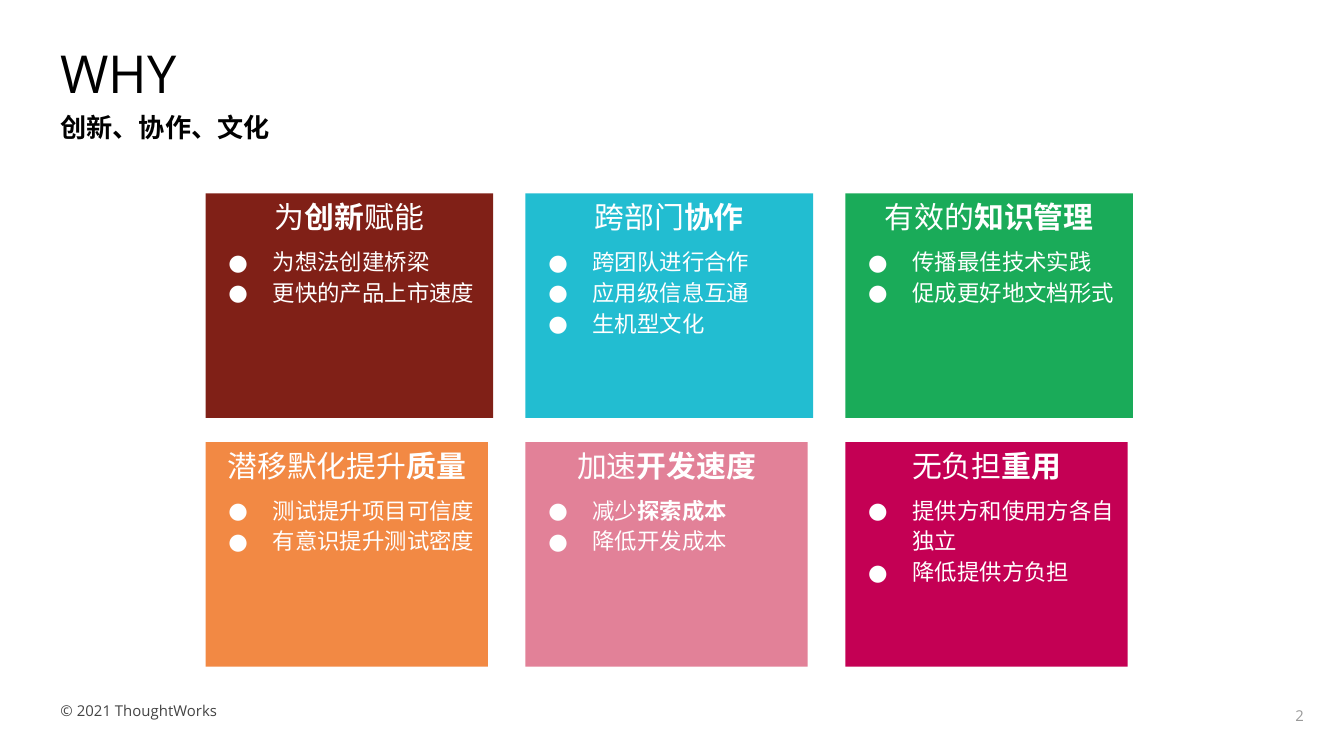
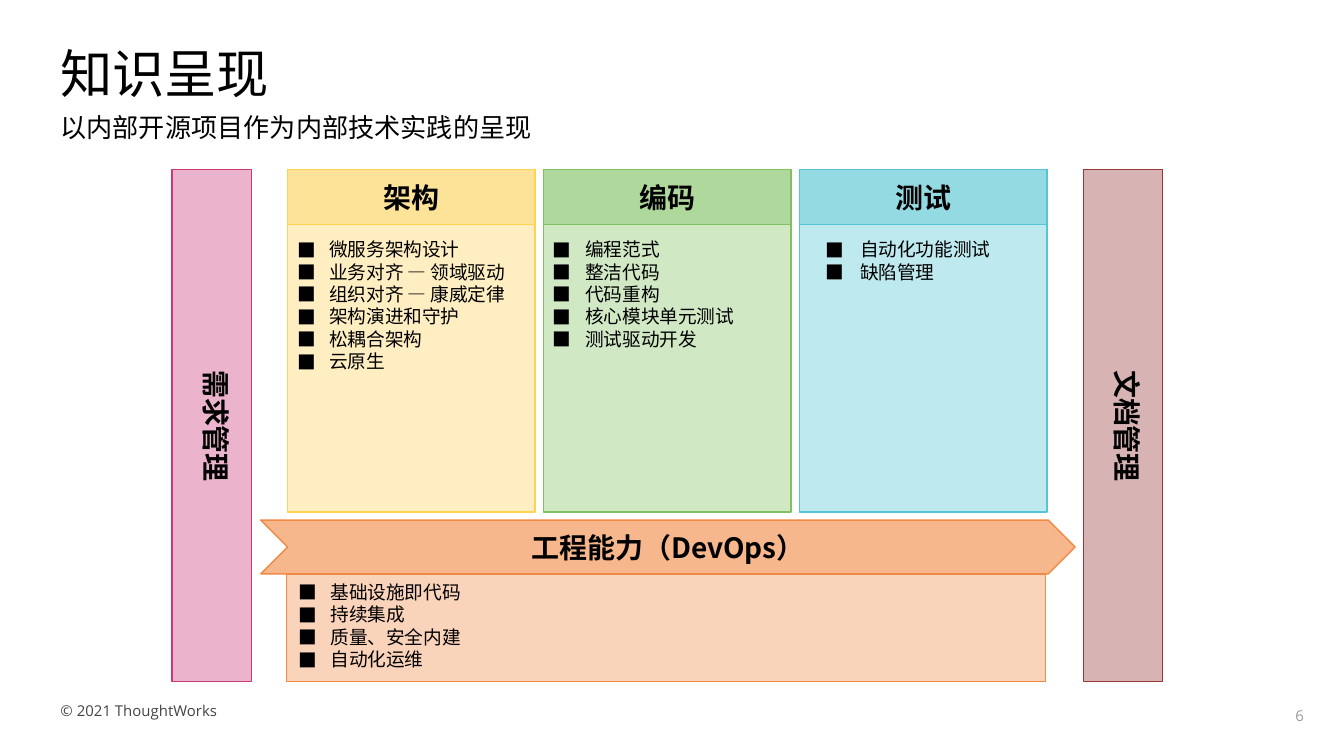
import dataclasses

import pptx
import pptx.dml.color
import pptx.enum.shapes
import pptx.enum.text
import pptx.oxml.ns
import pptx.util
from lxml import etree

Inches = pptx.util.Inches
Pt = pptx.util.Pt
RGB = pptx.dml.color.RGBColor.from_string
Shape = pptx.enum.shapes.MSO_SHAPE
Align = pptx.enum.text.PP_ALIGN
Anchor = pptx.enum.text.MSO_ANCHOR
qn = pptx.oxml.ns.qn


@dataclasses.dataclass(frozen=True)
class Theme:
    main_font: str = "Open Sans"
    diagram_font: str = "Noto Sans CJK SC"
    black: str = "000000"
    white: str = "FFFFFF"
    footer: str = "434343"
    number: str = "999999"
    devops: str = "F28944"
    title_size: int = 28
    subtitle_size: int = 14
    card_title_size: int = 16
    card_size: int = 12
    label_size: int = 15
    list_size: int = 10
    footer_size: int = 8
    line_width: float = 0.75
    diagram_inset: tuple = (0.07, 0.04)


theme = Theme()


def add_box(page, at, fill=None, line=None, kind=Shape.RECTANGLE, inset=(0, 0), anchor=Anchor.TOP):
    place = [Inches(length) for length in at]
    if fill:
        box = page.shapes.add_shape(kind, *place)
        box.shadow.inherit = False
        box.fill.solid()
        box.fill.fore_color.rgb = RGB(fill)
        if line:
            box.line.color.rgb = RGB(line)
            box.line.width = Pt(theme.line_width)
        else:
            box.line.fill.background()
    else:
        box = page.shapes.add_textbox(*place)
    frame = box.text_frame
    frame.word_wrap = True
    frame.vertical_anchor = anchor
    frame.margin_left = frame.margin_right = Inches(inset[0])
    frame.margin_top = frame.margin_bottom = Inches(inset[1])
    return box


def add_line(box, text, size, color=theme.black, font=theme.main_font, bold=False,
             align=Align.LEFT, spacing=None, before=None, bullet=None, indent=(0, 0)):
    frame = box.text_frame
    para = frame.add_paragraph() if frame.text else frame.paragraphs[0]
    para.alignment = align
    if spacing:
        para.line_spacing = spacing
    if before:
        para.space_before = Pt(before)
    if bullet:
        properties = para._p.get_or_add_pPr()
        properties.set("marL", str(Inches(indent[0])))
        properties.set("indent", str(Inches(indent[1])))
        bullet_color = etree.SubElement(properties, qn("a:buClr"))
        etree.SubElement(bullet_color, qn("a:srgbClr"), val=color)
        etree.SubElement(properties, qn("a:buFont"), typeface=font)
        etree.SubElement(properties, qn("a:buChar"), char=bullet)
    para.font.name = font
    para.font.size = Pt(size)
    para.font.color.rgb = RGB(color)
    para.font.bold = bold
    for index, part in enumerate(text.split("*")):
        if part:
            span = para.add_run()
            span.text = part
            if index % 2:
                span.font.bold = True


deck = pptx.Presentation()
deck.slide_width = Inches(10)
deck.slide_height = Inches(10 * 9 / 16)

pages = []
for title, subtitle, subtitle_bold, number in [
    ("WHY", "创新、协作、文化", True, "2"),
    ("知识呈现", "以内部开源项目作为内部技术实践的呈现", False, "6"),
]:
    page = deck.slides.add_slide(deck.slide_layouts[6])
    pages.append(page)
    add_line(add_box(page, (0.45, 0.31, 9.1, 0.67)), title, theme.title_size)
    add_line(add_box(page, (0.45, 0.83, 9.1, 0.42)), subtitle, theme.subtitle_size,
             bold=subtitle_bold)
    add_line(add_box(page, (0.45, 5.16, 4.19, 0.19), anchor=Anchor.BOTTOM),
             "© 2021 ThoughtWorks", theme.footer_size, theme.footer, spacing=1.15)
    add_line(add_box(page, (9.2, 5.19, 0.6, 0.21), inset=(0.1, 0.1)),
             number, theme.footer_size, theme.number, align=Align.RIGHT)

why_page, knowledge_page = pages

cards = [
    ("802017", "为*创新*赋能", ["为想法创建桥梁", "更快的产品上市速度"]),
    ("22BDD1", "跨部门*协作*", ["跨团队进行合作", "应用级信息互通", "生机型文化"]),
    ("1AAB59", "有效的*知识管理*", ["传播最佳技术实践", "促成更好地文档形式"]),
    ("F28944", "潜移默化提升*质量*", ["测试提升项目可信度", "有意识提升测试密度"]),
    ("E28198", "加速*开发速度*", ["减少*探索成本*", "降低开发成本"]),
    ("C40054", "无负担*重用*", ["提供方和使用方各自独立", "降低提供方负担"]),
]
for index, (fill, heading, points) in enumerate(cards):
    row, column = divmod(index, 3)
    width = (2.14, 2.1)[row]
    card = add_box(why_page, (1.53 + 2.38 * column, 1.44 + 1.85 * row, width, 1.67), fill)
    add_line(card, heading, theme.card_title_size, theme.white, align=Align.CENTER, spacing=1.15)
    for order, point in enumerate(points):
        add_line(card, point, theme.card_size, theme.white, spacing=1.15,
                 before=0 if order else 5, bullet="●", indent=(0.5, -0.33))

label_style = dict(size=theme.label_size, font=theme.diagram_font, bold=True, align=Align.CENTER)
list_style = dict(size=theme.list_size, font=theme.diagram_font, bullet="■")
list_indent = (0.24, -0.24)

practices = [
    ("架构", "FEEEC1", "FDE397", "FDD351", list_indent,
     ["微服务架构设计", "业务对齐 — 领域驱动", "组织对齐 — 康威定律",
      "架构演进和守护", "松耦合架构", "云原生"]),
    ("编码", "D0E8C4", "AFD89C", "81C15F", list_indent,
     ["编程范式", "整洁代码", "代码重构", "核心模块单元测试", "测试驱动开发"]),
    ("测试", "BEE9EE", "94DAE2", "56C4D2", (0.38, -0.26),
     ["自动化功能测试", "缺陷管理"]),
]
for column, (name, body_fill, head_fill, line, indent, points) in enumerate(practices):
    left = 2.14 + 3.81 / 2 * column
    add_box(knowledge_page, (left, 1.26, 1.84, 2.55), body_fill, line)
    head = add_box(knowledge_page, (left, 1.26, 1.84, 0.41), head_fill, line,
                   inset=theme.diagram_inset, anchor=Anchor.MIDDLE)
    add_line(head, name, **label_style)
    body = add_box(knowledge_page, (left, 1.73, 1.84, 1.49), inset=theme.diagram_inset)
    for point in points:
        add_line(body, point, indent=indent, **list_style)

devops_arrow = add_box(knowledge_page, (1.94, 3.87, 6.06, 0.4), "F6B78C", theme.devops,
                       Shape.CHEVRON, theme.diagram_inset, Anchor.MIDDLE)
devops_arrow.adjustments[0] = 0.5
add_line(devops_arrow, "工程能力（DevOps）", **label_style)
add_box(knowledge_page, (2.13, 4.27, 5.65, 0.8), "FAD3BB", theme.devops)
devops_list = add_box(knowledge_page, (2.15, 4.28, 5.66, 0.78), inset=theme.diagram_inset)
for point in ["基础设施即代码", "持续集成", "质量、安全内建", "自动化运维"]:
    add_line(devops_list, point, indent=list_indent, **list_style)

for name, left, fill, line in [
    ("需求管理", 1.28, "EBB3CC", "CB3778"),
    ("文档管理", 8.06, "D8B3B3", "993636"),
]:
    add_box(knowledge_page, (left, 1.26, 0.59, 3.81), fill, line)
    label = add_box(knowledge_page, (left + (0.59 - 2.66) / 2, 2.97, 2.66, 0.4),
                    inset=theme.diagram_inset)
    label.rotation = 90
    add_line(label, name, **label_style)

deck.save("out.pptx")
